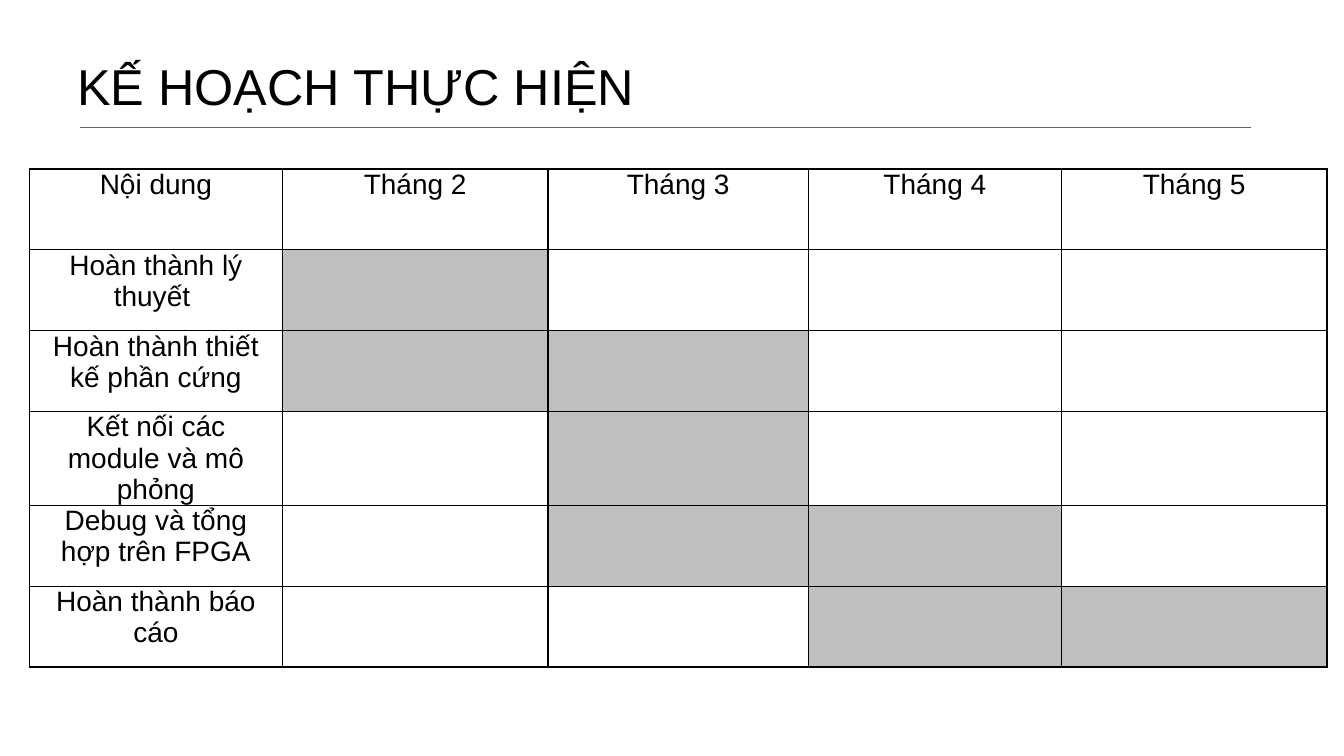
"""Build the project schedule slide with its month-by-month task table."""
from dataclasses import dataclass

from lxml.etree import SubElement
from pptx import Presentation
from pptx.dml.color import RGBColor
from pptx.enum.shapes import MSO_CONNECTOR as CONN
from pptx.enum.text import MSO_ANCHOR as ANCHOR, PP_ALIGN as ALIGN
from pptx.oxml.ns import qn
from pptx.slide import Slide
from pptx.table import _Cell as Cell
from pptx.text.text import _Paragraph as Paragraph
from pptx.util import Emu, Pt

EMU_PER_PX = 9525
FONT = "Arial"
BLACK, WHITE, BUSY, RULE = "000000", "FFFFFF", "BFBFBF", "5F5F5F"
COL_WIDTHS = (241, 253, 248, 241, 253)
ROW_HEIGHT = 77


@dataclass(frozen=True)
class Task:
    name: str
    months: tuple[int, ...]


HEADER = "Nội dung"
MONTHS = (2, 3, 4, 5)
TASKS = (
    Task("Hoàn thành lý thuyết ", (2,)),
    Task("Hoàn thành thiết kế phần cứng", (2, 3)),
    Task("Kết nối các module và mô phỏng", (3,)),
    Task("Debug và tổng hợp trên FPGA", (3, 4)),
    Task("Hoàn thành báo cáo", (4, 5)),
)


def px(n: int) -> Emu:
    return Emu(n * EMU_PER_PX)


def rgb(color: str) -> RGBColor:
    return RGBColor.from_string(color)


def style_text(p: Paragraph, size: int, align: ALIGN) -> None:
    p.alignment = align
    p.font.name, p.font.size = FONT, Pt(size)
    p.font.color.rgb = rgb(BLACK)


def add_title(s: Slide, text: str) -> None:
    sp = s.shapes.title
    sp.left, sp.top, sp.width, sp.height = px(64), px(51), px(1152), px(61)
    tf = sp.text_frame
    tf.text = text
    tf.vertical_anchor = ANCHOR.MIDDLE
    style_text(tf.paragraphs[0], 36, ALIGN.LEFT)


def add_rule(s: Slide) -> None:
    line = s.shapes.add_connector(CONN.STRAIGHT, px(76), px(121), px(1191), px(121))
    line.line.color.rgb = rgb(RULE)
    line.line.width = Pt(0.75)
    SubElement(line._element.spPr, qn("a:effectLst"))


def style_cell(cell: Cell, fill: str) -> None:
    cell.margin_left = cell.margin_right = px(7)
    cell.margin_top = cell.margin_bottom = 0
    tc_pr = cell._tc.get_or_add_tcPr()
    for side in ("lnL", "lnR", "lnT", "lnB"):
        ln = SubElement(tc_pr, qn(f"a:{side}"), w=str(Pt(1)))
        SubElement(SubElement(ln, qn("a:solidFill")), qn("a:srgbClr"), val=BLACK)
    cell.fill.solid()
    cell.fill.fore_color.rgb = rgb(fill)


def write_cell(cell: Cell, text: str, fill: str = WHITE) -> None:
    style_cell(cell, fill)
    if text:
        cell.text = text
        style_text(cell.text_frame.paragraphs[0], 20, ALIGN.CENTER)


def add_schedule(s: Slide) -> None:
    rows, cols = len(TASKS) + 1, len(MONTHS) + 1
    frame = s.shapes.add_table(rows, cols, px(28), px(161),
                               px(sum(COL_WIDTHS)), px(rows * ROW_HEIGHT))
    table = frame.table
    table.first_row = table.horz_banding = False
    for col, width in zip(table.columns, COL_WIDTHS):
        col.width = px(width)
    for row in table.rows:
        row.height = px(ROW_HEIGHT)
    write_cell(table.cell(0, 0), HEADER)
    for c, month in enumerate(MONTHS, 1):
        write_cell(table.cell(0, c), f"Tháng {month}")
    for r, task in enumerate(TASKS, 1):
        write_cell(table.cell(r, 0), task.name)
        for c, month in enumerate(MONTHS, 1):
            write_cell(table.cell(r, c), "", BUSY if month in task.months else WHITE)


def main() -> None:
    prs = Presentation()
    prs.slide_width, prs.slide_height = px(1280), px(720)
    s = prs.slides.add_slide(prs.slide_layouts[5])
    add_title(s, "KẾ HOẠCH THỰC HIỆN")
    add_rule(s)
    add_schedule(s)
    prs.save("out.pptx")


if __name__ == "__main__":
    main()
